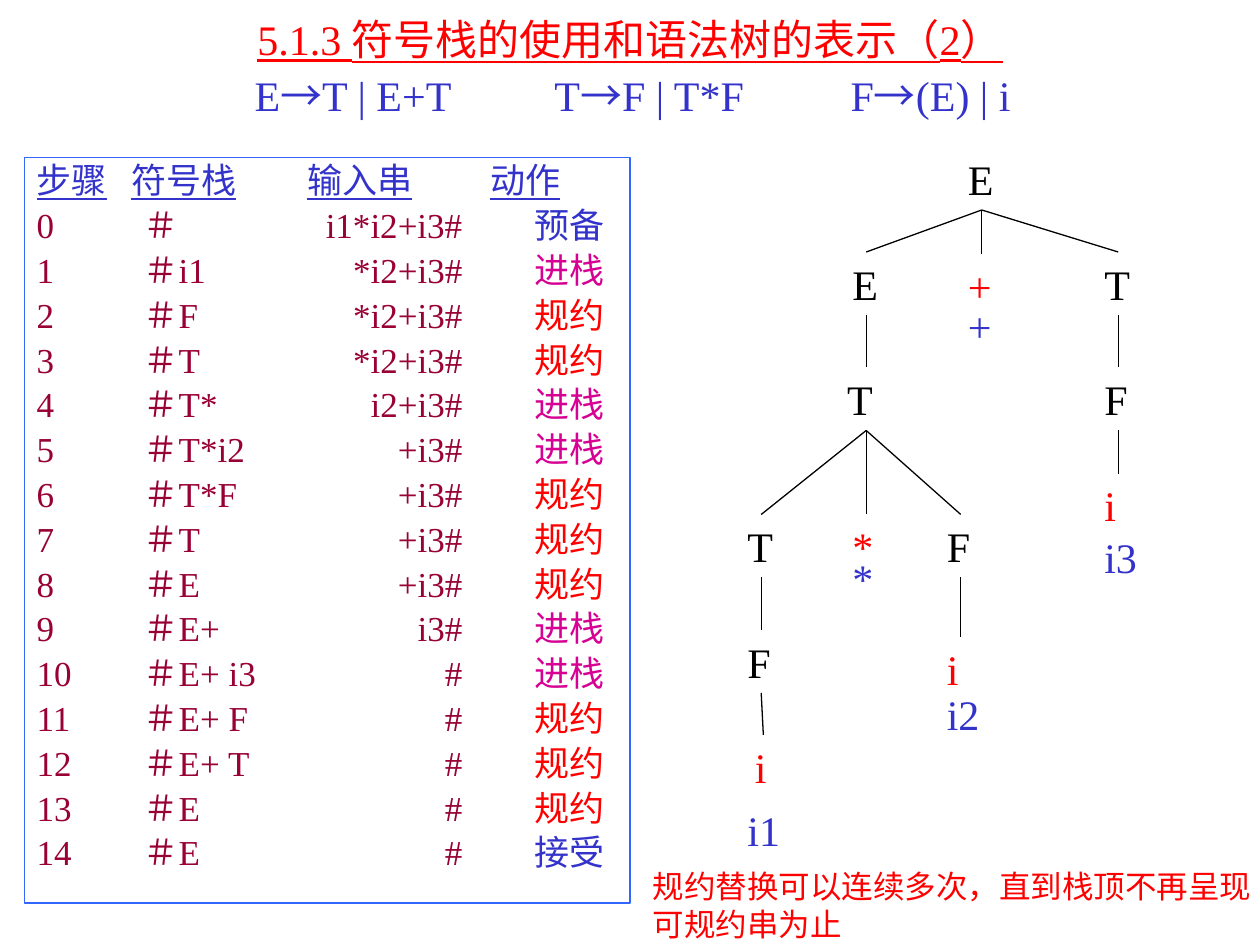
from dataclasses import dataclass

from lxml.etree import SubElement
from pptx import Presentation
from pptx.dml.color import RGBColor
from pptx.enum.shapes import MSO_CONNECTOR, MSO_SHAPE
from pptx.enum.text import MSO_ANCHOR, MSO_AUTO_SIZE, PP_ALIGN
from pptx.oxml.ns import qn
from pptx.util import Inches, Pt


@dataclass(frozen=True)
class Theme:
    serif: str = "Times New Roman"
    cjk: str = "Noto Sans CJK SC"
    black: RGBColor = RGBColor(0x00, 0x00, 0x00)
    red: RGBColor = RGBColor(0xFF, 0x00, 0x00)
    blue: RGBColor = RGBColor(0x33, 0x33, 0xCC)
    maroon: RGBColor = RGBColor(0x99, 0x00, 0x33)
    magenta: RGBColor = RGBColor(0xD6, 0x00, 0x93)
    border: RGBColor = RGBColor(0x33, 0x66, 0xFF)
    large: int = 24
    body: int = 20
    note: int = 18
    line: float = 0.75


T = Theme()
prs = Presentation()
prs.slide_width, prs.slide_height = Inches(10), Inches(7.5)
U = prs.slide_width / 12  # the slide is 12 columns by 9 rows of this unit
s = prs.slides.add_slide(prs.slide_layouts[5])


def style(p, size, color, tabs=()):
    """Set tab stops (alignment, inches) and the font of a paragraph."""
    if tabs:
        tab_list = SubElement(p._p.get_or_add_pPr(), qn("a:tabLst"))
        for algn, pos in tabs:
            SubElement(tab_list, qn("a:tab"), pos=str(Inches(pos)), algn=algn)
    p.font.name, p.font.size, p.font.color.rgb = T.serif, Pt(size), color


def label(text, col, row, width, height, color, size=T.large):
    tb = s.shapes.add_textbox(*(round(v * U) for v in (col, row, width, height)))
    tf = tb.text_frame
    tf.word_wrap = True
    p = tf.paragraphs[0]
    p.text = text
    style(p, size, color)


# Title and grammar rules
title = s.shapes.title
title.left, title.top = round(0.9 * U), round(0.12 * U)
title.width, title.height = round(10.2 * U), round(1.03 * U)
tf = title.text_frame
tf.auto_size, tf.vertical_anchor = MSO_AUTO_SIZE.NONE, MSO_ANCHOR.MIDDLE
p = tf.paragraphs[0]
p.text, p.alignment = "5.1.3 符号栈的使用和语法树的表示（2）", PP_ALIGN.CENTER
style(p, T.large, T.red)
p.font.underline = True

p = tf.add_paragraph()
p.alignment, p.space_before = PP_ALIGN.LEFT, Pt(3)
style(p, T.large, T.blue, [("l", 1.17), ("l", 3.55), ("l", 5.9)])
for left, right in (("E", "T | E+T"), ("T", "F | T*F"), ("F", "(E) | i")):
    p.add_run().text = "\t" + left
    arrow = p.add_run()
    arrow.text, arrow.font.name = "→", T.cjk
    p.add_run().text = right

# Parsing steps: step, symbol stack, remaining input, action
STEPS = [
    ("＃", "i1*i2+i3#", "预备"), ("＃i1", "*i2+i3#", "进栈"),
    ("＃F", "*i2+i3#", "规约"), ("＃T", "*i2+i3#", "规约"),
    ("＃T*", "i2+i3#", "进栈"), ("＃T*i2", "+i3#", "进栈"),
    ("＃T*F", "+i3#", "规约"), ("＃T", "+i3#", "规约"),
    ("＃E", "+i3#", "规约"), ("＃E+", "i3#", "进栈"),
    ("＃E+ i3", "#", "进栈"), ("＃E+ F", "#", "规约"),
    ("＃E+ T", "#", "规约"), ("＃E", "#", "规约"), ("＃E", "#", "接受"),
]
ACTION_COLORS = {"预备": T.blue, "进栈": T.magenta, "规约": T.red, "接受": T.blue}

sp = s.shapes.add_shape(MSO_SHAPE.RECTANGLE, round(0.23 * U), round(1.5 * U),
                        round(5.77 * U), round(7.1 * U))
sp.shadow.inherit = False
sp.fill.background()
sp.line.color.rgb, sp.line.width = T.border, Pt(T.line)
tf = sp.text_frame
tf.word_wrap, tf.vertical_anchor = True, MSO_ANCHOR.TOP

p = tf.paragraphs[0]
p.alignment, p.line_spacing = PP_ALIGN.LEFT, 0.9
style(p, T.body, T.blue, [("l", 0.75), ("l", 2.15), ("l", 3.6)])
for i, heading in enumerate(("步骤", "符号栈", "输入串", "动作")):
    if i:
        p.add_run().text = "\t"
    r = p.add_run()
    r.text, r.font.underline = heading, True

for step, (stack, rest, action) in enumerate(STEPS):
    p = tf.add_paragraph()
    p.alignment, p.line_spacing, p.space_before = PP_ALIGN.LEFT, 0.9, Pt(4)
    style(p, T.body, T.maroon, [("l", 0.85), ("r", 3.38), ("l", 3.95)])
    p.add_run().text = f"{step}\t{stack}\t{rest}\t"
    r = p.add_run()
    r.text, r.font.color.rgb = action, ACTION_COLORS[action]

# Syntax tree: text, centre column, top row, width, index of parent
NODE_H = 0.6
NODES = [
    ("E", 9.35, 1.4, 0.5, None),
    ("E", 8.25, 2.4, 0.5, 0), ("+", 9.35, 2.42, 0.5, 0), ("T", 10.65, 2.4, 0.5, 0),
    ("T", 8.25, 3.5, 0.6, 1), ("F", 10.65, 3.5, 0.5, 3), ("i", 10.65, 4.51, 0.5, 5),
    ("T", 7.25, 4.9, 0.5, 4), ("*", 8.25, 4.9, 0.5, 4), ("F", 9.15, 4.9, 0.5, 4),
    ("F", 7.25, 6, 0.5, 7), ("i", 9.15, 6.07, 0.5, 9), ("i", 7.27, 7, 0.4, 10),
]
for text, centre, row, width, parent in NODES:
    color = T.black if text.isupper() else T.red
    label(text, centre - width / 2, row, width, NODE_H, color)
    if parent is not None:
        _, from_col, from_row, _, _ = NODES[parent]
        ends = (from_col, from_row + NODE_H, centre, row)
        branch = s.shapes.add_connector(MSO_CONNECTOR.STRAIGHT, *(round(v * U) for v in ends))
        branch.line.color.rgb, branch.line.width = T.black, Pt(T.line)
        SubElement(branch._element.spPr, qn("a:effectLst"))

# Values attached to the leaves
for text, col, row in (("+", 9.1, 2.8), ("*", 8, 5.2), ("i1", 7, 7.6),
                       ("i2", 8.9, 6.5), ("i3", 10.4, 5)):
    label(text, col, row, 0.6, NODE_H, T.blue)

# Closing remark
label("规约替换可以连续多次，直到栈顶不再呈现可规约串为止", 6.1, 8.2, 6, 0.85, T.red, T.note)

prs.save("out.pptx")
